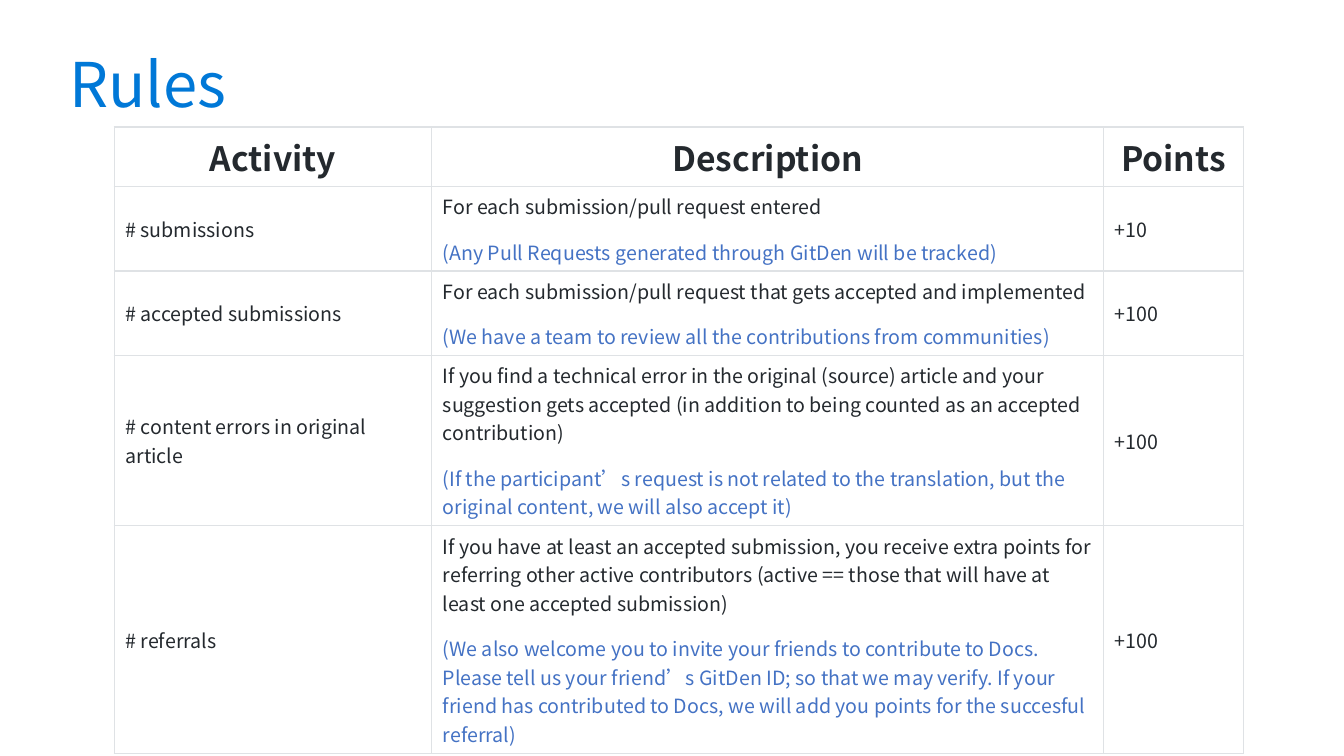
from lxml.etree import SubElement
from pptx import Presentation
from pptx.dml.color import RGBColor
from pptx.enum.text import MSO_ANCHOR, PP_ALIGN
from pptx.oxml.ns import qn
from pptx.util import Cm, Pt

FONT = "Noto Sans CJK SC"
COLORS = {"title": "0078D7", "text": "24292E", "note": "4472C4", "line": "DFE2E5"}
TITLE = "Rules"
HEADS = ("Activity", "Description", "Points")
RULES = [
    ("# submissions",
     "For each submission/pull request entered",
     "(Any Pull Requests generated through GitDen will be tracked)",
     "+10"),
    ("# accepted submissions",
     "For each submission/pull request that gets accepted and implemented",
     "(We have a team to review all the contributions from communities)",
     "+100"),
    ("# content errors in original article",
     "If you find a technical error in the original (source) article and your "
     "suggestion gets accepted (in addition to being counted as an accepted contribution)",
     "(If the participant’s request is not related to the translation, "
     "but the original content, we will also accept it)",
     "+100"),
    ("# referrals",
     "If you have at least an accepted submission, you receive extra points for "
     "referring other active contributors (active == those that will have at least "
     "one accepted submission)",
     "(We also welcome you to invite your friends to contribute to Docs. "
     "Please tell us your friend’s GitDen ID; so that we may verify. "
     "If your friend has contributed to Docs, we will add you points for the "
     "succesful referral)",
     "+100"),
]
WIDTHS = (8, 16.93, 3.52)
HEIGHTS = (1.5, 2.13, 2.13, 4.29, 5.74)


def write(para, text, size, color, after, bold=False):
    para.text = text
    para.space_after = Pt(after)
    for run in para.runs:
        font = run.font
        font.name = FONT
        font.size = Pt(size)
        font.bold = bold
        font.color.rgb = RGBColor.from_string(COLORS[color])


def outline(cell):
    props = cell._tc.get_or_add_tcPr()
    for side in ("lnL", "lnR", "lnT", "lnB"):
        line = SubElement(props, qn("a:" + side), w=str(Pt(1)))
        fill = SubElement(line, qn("a:solidFill"))
        SubElement(fill, qn("a:srgbClr"), val=COLORS["line"])


def style(cell):
    cell.vertical_anchor = MSO_ANCHOR.MIDDLE
    cell.margin_left = cell.margin_right = Cm(0.28)
    cell.margin_top = cell.margin_bottom = Cm(0.13)
    outline(cell)
    cell.fill.background()


def add_title(slide):
    box = slide.shapes.add_textbox(Cm(1.5), Cm(0.61), Cm(30.3), Cm(2.95))
    frame = box.text_frame
    frame.word_wrap = True
    frame.vertical_anchor = MSO_ANCHOR.MIDDLE
    write(frame.paragraphs[0], TITLE, 44, "title", 3)


def add_rules(slide):
    shape = slide.shapes.add_table(len(HEIGHTS), len(WIDTHS), Cm(2.88), Cm(3.2),
                                   Cm(sum(WIDTHS)), Cm(sum(HEIGHTS)))
    table = shape.table
    table.first_row = table.horz_banding = False
    for col, width in zip(table.columns, WIDTHS):
        col.width = Cm(width)
    for row, height in zip(table.rows, HEIGHTS):
        row.height = Cm(height)
    for cell in table.iter_cells():
        style(cell)
    for col, head in enumerate(HEADS):
        para = table.cell(0, col).text_frame.paragraphs[0]
        write(para, head, 24, "text", 12, True)
        para.alignment = PP_ALIGN.CENTER
    for row, (name, about, note, points) in enumerate(RULES, 1):
        for col, text in enumerate((name, about, points)):
            frame = table.cell(row, col).text_frame
            write(frame.paragraphs[0], text, 14, "text", 12)
        frame = table.cell(row, 1).text_frame
        write(frame.add_paragraph(), note, 14, "note", 12)


def main():
    deck = Presentation()
    deck.slide_width, deck.slide_height = Cm(33.87), Cm(19.05)
    slide = deck.slides.add_slide(deck.slide_layouts[6])
    add_title(slide)
    add_rules(slide)
    deck.save("out.pptx")


if __name__ == "__main__":
    main()
